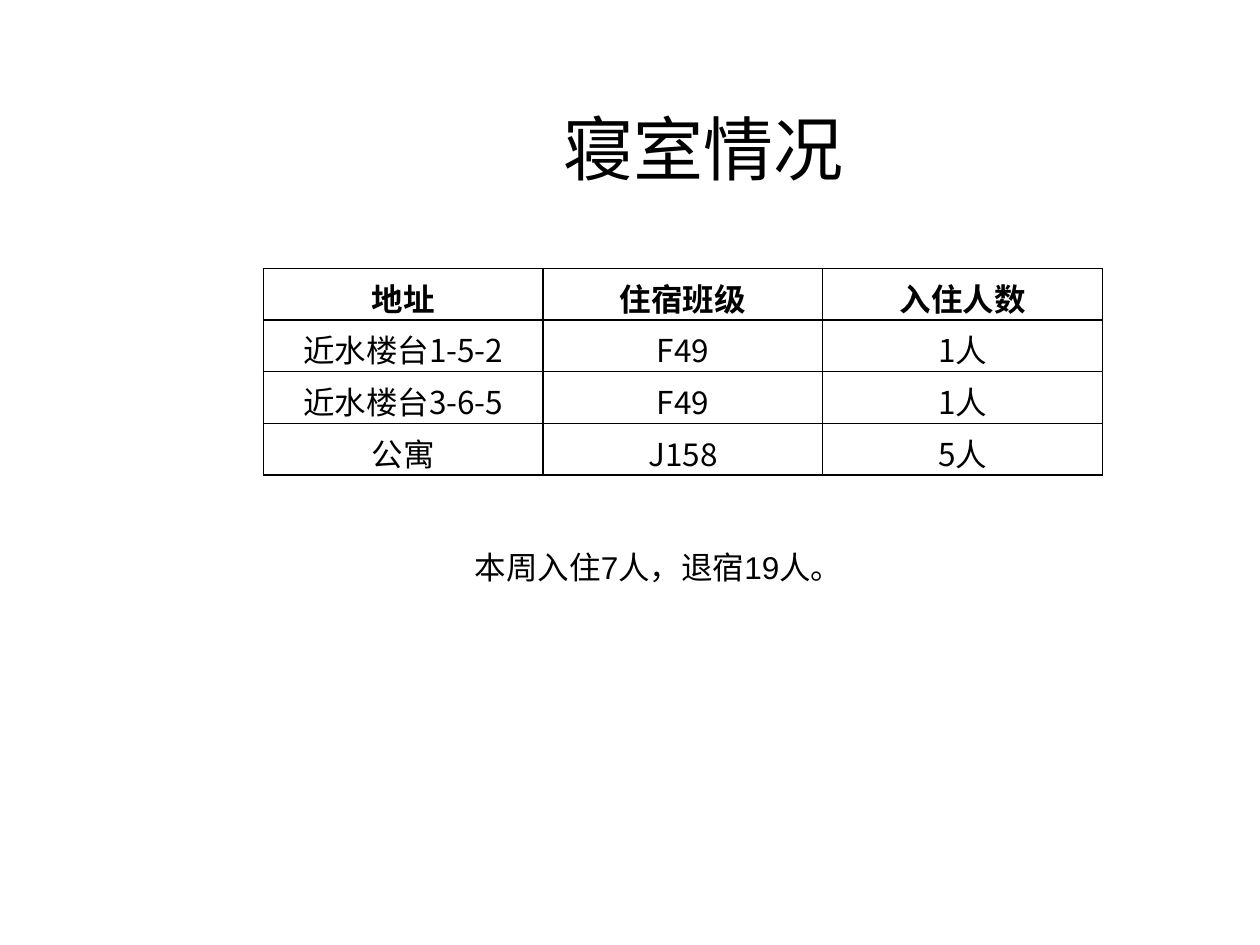
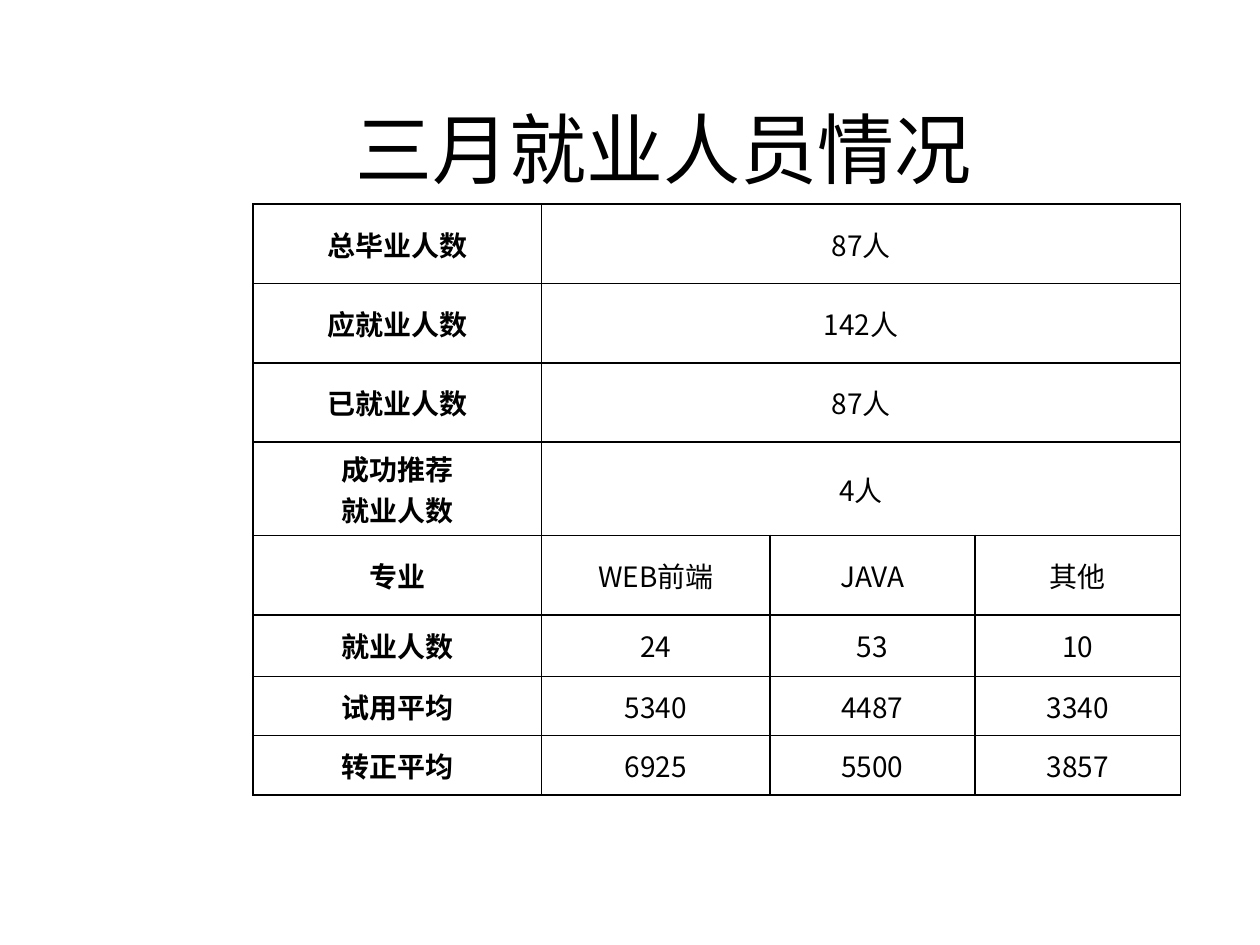
"""Builds two slides: dormitory occupancy and March employment figures."""
import pptx
import pptx.dml.color
import pptx.enum.text
import pptx.oxml
import pptx.oxml.ns
import pptx.util

WIDTH, HEIGHT = 10, 7.5
INK, PAPER = "000000", "FFFFFF"
BODY_FONT, CJK_FONT = "Arial", "Noto Sans CJK SC"
TITLE_MIDDLE = 1.17
BORDER_WIDTH = 1

DORMITORY = {
    "title": "寝室情况",
    "title_area": (3.75, 3.67, 0.63),
    "title_size": 40,
    "rows": [
        ("地址", "住宿班级", "入住人数"),
        ("近水楼台1-5-2", "F49", "1人"),
        ("近水楼台3-6-5", "F49", "1人"),
        ("公寓", "J158", "5人"),
    ],
    "corner": (2.09, 2.13),
    "columns": [2.22] * 3,
    "heights": [0.41] * 4,
    "size": 18,
    "margins": (0.1, 0.05, 0.1, 0),
    "anchor": "TOP",
    "bold": lambda row, column: row == 0,
    "font": lambda row: BODY_FONT if row == 0 else CJK_FONT,
    "note": "本周入住7人，退宿19人。",
}
EMPLOYMENT = {
    "title": "三月就业人员情况",
    "title_area": (2.72, 5.1, 0.93),
    "title_size": 44,
    "rows": [
        ("总毕业人数", "87人"),
        ("应就业人数", "142人"),
        ("已就业人数", "87人"),
        ("成功推荐\n就业人数", "4人"),
        ("专业", "WEB前端", "JAVA", "其他"),
        ("就业人数", "24", "53", "10"),
        ("试用平均", "5340", "4487", "3340"),
        ("转正平均", "6925", "5500", "3857"),
    ],
    "corner": (2.01, 1.62),
    "columns": [2.29, 1.81, 1.63, 1.63],
    "heights": [0.63] * 3 + [0.74, 0.63, 0.49, 0.47, 0.47],
    "size": 16,
    "margins": (0, 0, 0, 0),
    "anchor": "MIDDLE",
    "bold": lambda row, column: column == 0,
    "font": lambda row: CJK_FONT,
}
NOTE_AREA = (3.67, 4.3, 4.8, 0.4)


def inches(*lengths):
    return [pptx.util.Inches(length) for length in lengths]


def colour(value):
    return pptx.dml.color.RGBColor.from_string(value)


def write(frame, words, size, font=BODY_FONT, bold=False, align="CENTER"):
    frame.text = words
    frame.word_wrap = True
    for paragraph in frame.paragraphs:
        paragraph.alignment = getattr(pptx.enum.text.PP_ALIGN, align)
        paragraph.font.size = pptx.util.Pt(size)
        paragraph.font.name = font
        paragraph.font.bold = bold
        paragraph.font.color.rgb = colour(INK)


def add_title(slide, content):
    left, width, height = content["title_area"]
    area = inches(left, TITLE_MIDDLE - height / 2, width, height)
    frame = slide.shapes.add_textbox(*area).text_frame
    write(frame, content["title"], content["title_size"])
    frame.vertical_anchor = pptx.enum.text.MSO_ANCHOR.MIDDLE


def outline(cell):
    properties = cell._tc.get_or_add_tcPr()
    for position, side in enumerate(("lnL", "lnR", "lnT", "lnB")):
        line = pptx.oxml.parse_xml(
            f'<a:{side} {pptx.oxml.ns.nsdecls("a")} w="{pptx.util.Pt(BORDER_WIDTH)}">'
            f'<a:solidFill><a:srgbClr val="{INK}"/></a:solidFill></a:{side}>'
        )
        properties.insert(position, line)


def style_cell(cell, content):
    cell.margin_left, cell.margin_top, cell.margin_right, cell.margin_bottom = inches(*content["margins"])
    cell.vertical_anchor = getattr(pptx.enum.text.MSO_ANCHOR, content["anchor"])
    cell.fill.solid()
    cell.fill.fore_color.rgb = colour(PAPER)
    outline(cell)


def add_figures(slide, content):
    columns, heights = content["columns"], content["heights"]
    area = inches(*content["corner"], sum(columns), sum(heights))
    figures = slide.shapes.add_table(len(heights), len(columns), *area).table
    figures.first_row = figures.horz_banding = False
    for column, width in zip(figures.columns, columns):
        column.width = pptx.util.Inches(width)
    for row, height in zip(figures.rows, heights):
        row.height = pptx.util.Inches(height)
    for cell in figures.iter_cells():
        style_cell(cell, content)
    for row, entries in enumerate(content["rows"]):
        if len(entries) < len(columns):
            figures.cell(row, len(entries) - 1).merge(figures.cell(row, len(columns) - 1))
        for column, words in enumerate(entries):
            frame = figures.cell(row, column).text_frame
            write(frame, words, content["size"], content["font"](row), content["bold"](row, column))


def main():
    deck = pptx.Presentation()
    deck.slide_width, deck.slide_height = inches(WIDTH, HEIGHT)
    for content in (DORMITORY, EMPLOYMENT):
        slide = deck.slides.add_slide(deck.slide_layouts[6])
        add_title(slide, content)
        if "note" in content:
            note = slide.shapes.add_textbox(*inches(*NOTE_AREA))
            write(note.text_frame, content["note"], content["size"], align="LEFT")
        add_figures(slide, content)
    deck.save("out.pptx")


if __name__ == "__main__":
    main()
